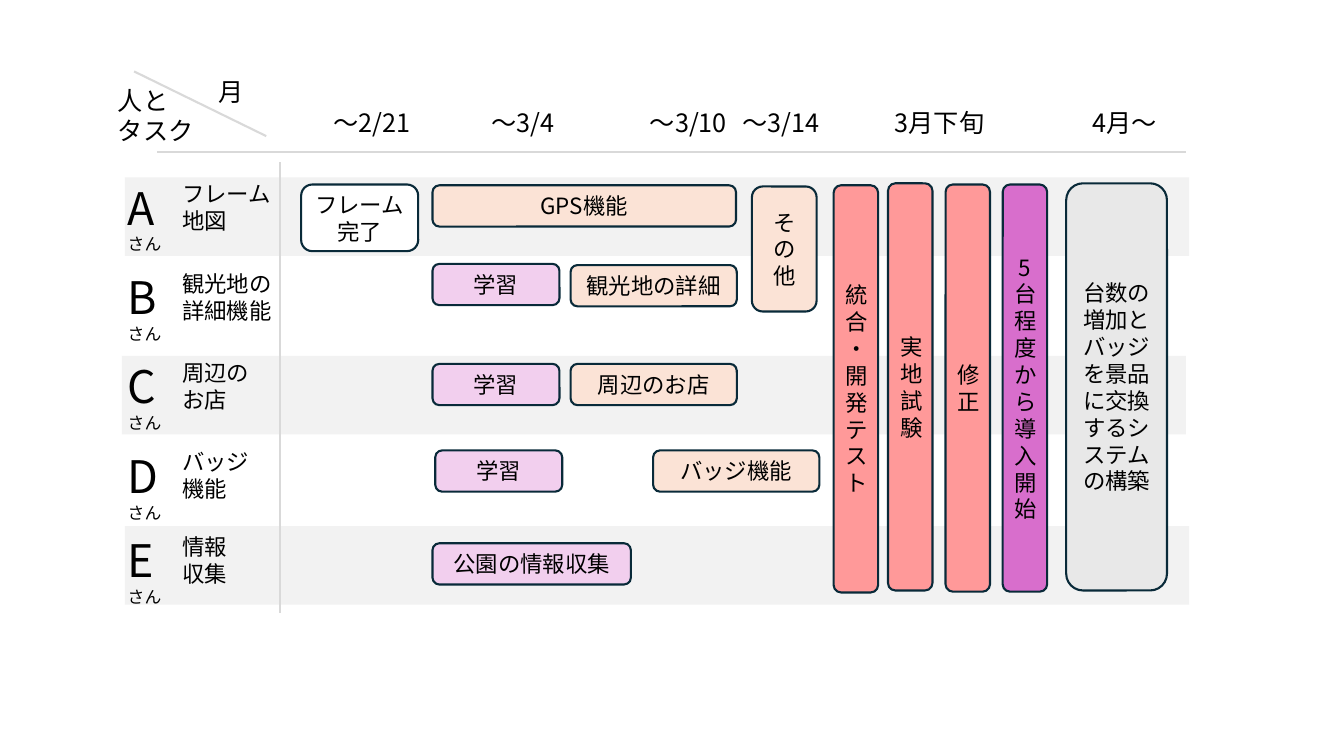
from dataclasses import dataclass

import pptx
import pptx.dml.color
import pptx.enum.shapes
import pptx.enum.text
import pptx.oxml
import pptx.oxml.ns
import pptx.util
from lxml import etree
from pptx.util import Cm

SHAPES = pptx.enum.shapes.MSO_SHAPE
ALIGN = pptx.enum.text.PP_ALIGN
ANCHOR = pptx.enum.text.MSO_ANCHOR


@dataclass(frozen=True)
class Theme:
    font: str = "Noto Sans CJK JP"
    text: str = "000000"
    outline: str = "092A39"
    rule: str = "D9D9D9"
    stripe: str = "F2F2F2"
    done: str = "FFFFFF"
    feature: str = "FBE3D6"
    study: str = "F2CFEE"
    test: str = "FF9999"
    launch: str = "D86ECC"
    future: str = "E8E8E8"
    line_width: float = 1.5
    letter_size: int = 32
    header_size: int = 18
    body_size: int = 16
    suffix_size: int = 12


THEME = Theme()


@dataclass(frozen=True)
class Box:
    left: float
    top: float
    width: float
    height: float

    def lengths(self) -> tuple:
        return Cm(self.left), Cm(self.top), Cm(self.width), Cm(self.height)


@dataclass(frozen=True)
class Rule:
    start_x: float
    start_y: float
    end_x: float
    end_y: float


@dataclass(frozen=True)
class Member:
    letter: str
    task: str
    top: float


@dataclass(frozen=True)
class Header:
    text: str
    left: float


@dataclass(frozen=True)
class Card:
    text: str
    fill: str
    box: Box


CARD_HEIGHT = 1.04
BAR_WIDTH = 1.12
PHASE_HEIGHT = 10.26
FEATURE_WIDTH = 4.19
STUDY_WIDTH = 3.2

STRIPES = [Box(left, top, 26.82, 1.98) for left, top in ((3.15, 13.26), (3.07, 8.97), (3.15, 4.47))]
RULES = [
    Rule(3.96, 3.84, 29.9, 3.84),
    Rule(7.06, 4.09, 7.06, 15.44),
    Rule(3.38, 1.8, 6.71, 3.43),
]
MEMBERS = [
    Member("A", "フレーム\n地図", 4.42),
    Member("B", "観光地の詳細機能", 6.68),
    Member("C", "周辺の\nお店", 8.92),
    Member("D", "バッジ\n機能", 11.18),
    Member("E", "情報\n収集", 13.31),
]
HEADERS = [
    Header("～2/21", 8.15),
    Header("～3/4", 12.14),
    Header("～3/10", 16.13),
    Header("～3/14", 18.47),
    Header("3月下旬", 22.3),
    Header("4月～", 27.28),
]
CARDS = [
    Card("フレーム\n完了", THEME.done, Box(7.59, 4.65, 2.95, 1.68)),
    Card("GPS機能", THEME.feature, Box(10.9, 4.67, 7.65, CARD_HEIGHT)),
    Card("観光地の詳細", THEME.feature, Box(14.38, 6.68, FEATURE_WIDTH, CARD_HEIGHT)),
    Card("周辺のお店", THEME.feature, Box(14.38, 9.17, FEATURE_WIDTH, CARD_HEIGHT)),
    Card("バッジ機能", THEME.feature, Box(16.46, 11.35, FEATURE_WIDTH, CARD_HEIGHT)),
    Card("公園の情報収集", THEME.study, Box(10.9, 13.69, 5, CARD_HEIGHT)),
    Card("学習", THEME.study, Box(10.9, 6.65, STUDY_WIDTH, CARD_HEIGHT)),
    Card("学習", THEME.study, Box(10.9, 9.17, STUDY_WIDTH, CARD_HEIGHT)),
    Card("学習", THEME.study, Box(10.97, 11.35, STUDY_WIDTH, CARD_HEIGHT)),
    Card("統合・開発テスト", THEME.test, Box(21.01, 4.67, BAR_WIDTH, PHASE_HEIGHT)),
    Card("実地試験", THEME.test, Box(22.38, 4.62, BAR_WIDTH, PHASE_HEIGHT)),
    Card("修正", THEME.test, Box(23.83, 4.65, BAR_WIDTH, PHASE_HEIGHT)),
    Card("5台程度から導入開始", THEME.launch, Box(25.27, 4.65, BAR_WIDTH, PHASE_HEIGHT)),
    Card(
        "台数の増加とバッジを景品に交換するシステムの構築",
        THEME.future,
        Box(26.87, 4.62, 2.54, PHASE_HEIGHT),
    ),
    Card("その他", THEME.feature, Box(18.95, 4.7, 1.63, 3.15)),
]


def color(value: str) -> pptx.dml.color.RGBColor:
    return pptx.dml.color.RGBColor.from_string(value)


def format_paragraph(paragraph, size: int, alignment) -> None:
    paragraph.alignment = alignment
    for run in paragraph.runs:
        run.font.size = pptx.util.Pt(size)
        run.font.color.rgb = color(THEME.text)
        run.font.name = THEME.font
        properties = run._r.get_or_add_rPr()
        east_asian = etree.SubElement(properties, pptx.oxml.ns.qn("a:ea"))
        east_asian.set("typeface", THEME.font)


def write_text(text_frame, text: str, sizes: list[int], alignment=ALIGN.LEFT) -> None:
    text_frame.text = text
    text_frame.word_wrap = True
    for index, paragraph in enumerate(text_frame.paragraphs):
        format_paragraph(paragraph, sizes[index % len(sizes)], alignment)


def draw_label(slide, text: str, box: Box, sizes: list[int]) -> None:
    text_frame = slide.shapes.add_textbox(*box.lengths()).text_frame
    write_text(text_frame, text, sizes)
    text_frame.auto_size = pptx.enum.text.MSO_AUTO_SIZE.SHAPE_TO_FIT_TEXT


def draw_shape(slide, preset, box: Box, fill: str):
    shape = slide.shapes.add_shape(preset, *box.lengths())
    shape.shadow.inherit = False
    shape.fill.solid()
    shape.fill.fore_color.rgb = color(fill)
    return shape


def draw_stripe(slide, box: Box) -> None:
    draw_shape(slide, SHAPES.RECTANGLE, box, THEME.stripe).line.fill.background()


def draw_rule(slide, rule: Rule) -> None:
    connector = slide.shapes.add_connector(
        pptx.enum.shapes.MSO_CONNECTOR.STRAIGHT,
        Cm(rule.start_x), Cm(rule.start_y), Cm(rule.end_x), Cm(rule.end_y),
    )
    connector.line.color.rgb = color(THEME.rule)
    connector.line.width = pptx.util.Pt(THEME.line_width)
    etree.SubElement(connector._element.spPr, pptx.oxml.ns.qn("a:effectLst"))


def draw_member(slide, member: Member) -> None:
    draw_label(
        slide, f"{member.letter}\nさん", Box(2.97, member.top, 1.98, 2.13),
        [THEME.letter_size, THEME.suffix_size],
    )
    draw_label(slide, member.task, Box(4.34, member.top, 3.28, 1.63), [THEME.body_size])


def draw_card(slide, card: Card) -> None:
    shape = draw_shape(slide, SHAPES.ROUNDED_RECTANGLE, card.box, card.fill)
    shape.line.color.rgb = color(THEME.outline)
    shape.line.width = pptx.util.Pt(THEME.line_width)
    shape.text_frame.vertical_anchor = ANCHOR.MIDDLE
    write_text(shape.text_frame, card.text, [THEME.body_size], ALIGN.CENTER)


def main() -> None:
    presentation = pptx.Presentation()
    presentation.slide_width = Cm(33.87)
    presentation.slide_height = Cm(19.05)
    slide = presentation.slides.add_slide(presentation.slide_layouts[6])
    for stripe in STRIPES:
        draw_stripe(slide, stripe)
    for rule in RULES:
        draw_rule(slide, rule)
    draw_label(slide, "人と\nタスク", Box(2.72, 2.03, 3.68, 1.8), [THEME.header_size])
    draw_label(slide, "月", Box(5.26, 1.8, 1.45, 1.02), [THEME.header_size])
    for header in HEADERS:
        draw_label(slide, header.text, Box(header.left, 2.57, 3.33, 1.02), [THEME.header_size])
    for member in MEMBERS:
        draw_member(slide, member)
    for card in CARDS:
        draw_card(slide, card)
    presentation.save("out.pptx")


if __name__ == "__main__":
    main()
